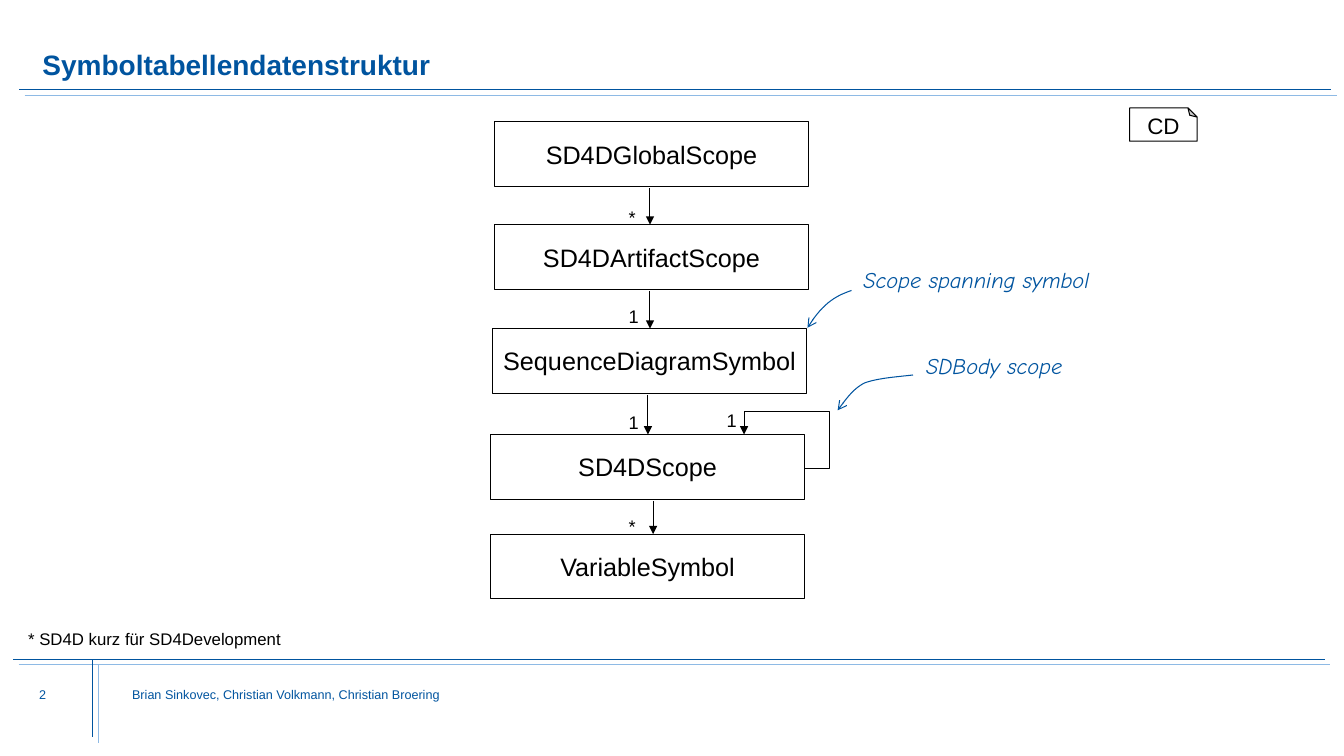
from collections import namedtuple
from itertools import pairwise

from lxml import etree
from pptx import Presentation
from pptx.dml.color import RGBColor
from pptx.enum.shapes import MSO_CONNECTOR, MSO_SHAPE
from pptx.enum.text import MSO_ANCHOR, PP_ALIGN
from pptx.oxml.ns import qn
from pptx.util import Cm, Pt

STRAIGHT, ELBOW = MSO_CONNECTOR.STRAIGHT, MSO_CONNECTOR.ELBOW
RECTANGLE, FOLDED = MSO_SHAPE.RECTANGLE, MSO_SHAPE.FOLDED_CORNER
LEFT, CENTER = PP_ALIGN.LEFT, PP_ALIGN.CENTER
TOP, MIDDLE, BOTTOM = MSO_ANCHOR.TOP, MSO_ANCHOR.MIDDLE, MSO_ANCHOR.BOTTOM

BLUE, LIGHT_BLUE, BLACK, WHITE = "00549F", "8EBAE5", "000000", "FFFFFF"
CLASS_WIDTH, CLASS_HEIGHT = 7.9, 1.63

Box = namedtuple("Box", "left top width height")  # centimetres


def color(hex_code):
    return RGBColor.from_string(hex_code)


def write(shape, text, size, font="Arial", ink=BLACK, bold=False, italic=False,
          align=LEFT, anchor=TOP, inset=(0.25, 0.13), wrap=True, spacing=None):
    frame = shape.text_frame
    frame.word_wrap = wrap
    frame.vertical_anchor = anchor
    frame.margin_left = frame.margin_right = Cm(inset[0])
    frame.margin_top = frame.margin_bottom = Cm(inset[1])
    para = frame.paragraphs[0]
    para.alignment = align
    para.line_spacing = spacing
    span = para.add_run()
    span.text = text
    span.font.name, span.font.size = font, Pt(size)
    span.font.bold, span.font.italic = bold, italic
    span.font.color.rgb = color(ink)


def add_text(page, box, text, size, **style):
    write(page.shapes.add_textbox(*map(Cm, box)), text, size, **style)


def add_outlined(page, kind, box):
    shape = page.shapes.add_shape(kind, *map(Cm, box))
    shape.shadow.inherit = False
    shape.line.color.rgb = color(BLACK)
    shape.line.width = Pt(0.75)
    return shape


def set_guide(shape, name, value):
    """Set a preset geometry guide, in thousandths of a percent."""
    guides = shape._element.spPr.find(qn("a:prstGeom")).get_or_add_avLst()
    etree.SubElement(guides, qn("a:gd"), name=name, fmla=f"val {value}")


def style_line(shape, ink, width, arrow=None):
    shape.line.color.rgb = color(ink)
    shape.line.width = Pt(width)
    if arrow:
        line = shape.line._get_or_add_ln()
        etree.SubElement(line, qn("a:tailEnd"), type=arrow)


def add_line(page, start, end, ink=BLACK, width=0.75, arrow=None, kind=STRAIGHT):
    line = page.shapes.add_connector(kind, *map(Cm, start + end))
    style_line(line, ink, width, arrow)
    etree.SubElement(line._element.spPr, qn("a:effectLst"))
    return line


def add_curve(page, points):
    """Draw a chain of cubic Bézier segments that ends in an open arrow."""
    steps = 16
    trace = []
    for first in range(0, len(points) - 1, 3):
        corners = points[first:first + 4]
        for step in range(1, steps + 1):
            t = step / steps
            weights = ((1 - t) ** 3, 3 * t * (1 - t) ** 2, 3 * t * t * (1 - t), t ** 3)
            trace.append(tuple(Cm(sum(w * value for w, value in zip(weights, axis)))
                               for axis in zip(*corners)))
    builder = page.shapes.build_freeform(*map(Cm, points[0]))
    builder.add_line_segments(trace, close=False)
    curve = builder.convert_to_shape()
    curve.shadow.inherit = False
    curve.fill.background()
    style_line(curve, BLUE, 0.75, "arrow")


def add_double_rule(page, left, top, width, height):
    for shift, ink in ((0, BLUE), (0.14, LIGHT_BLUE)):
        x, y = left + shift, top + shift
        add_line(page, (x, y), (x + width, y + height), ink, 0.5)


def add_header(page, box):
    add_text(page, Box(box.left + 0.59, box.top, 31.9, 1.5), "Symboltabellendatenstruktur",
             20, ink=BLUE, bold=True, anchor=BOTTOM, inset=(0, 0), spacing=0.9)
    add_double_rule(page, box.left, box.top + box.height, box.width, 0)


def add_footer(page, box):
    add_double_rule(page, box.left, box.top, box.width, 0)
    add_double_rule(page, box.left + 2.01, box.top, 0, box.height)
    for x, width, text in ((0.66, 2.03, "2"),
                           (3, 19.46, "Brian Sinkovec, Christian Volkmann, Christian Broering")):
        add_text(page, Box(box.left + x, box.top + 0.69, width, 1.1), text, 9,
                 ink=BLUE, inset=(0, 0))


def add_multiplicity(page, left, top, text):
    add_text(page, Box(left, top, 0.94, 0.81), text, 13)


def add_self_loop(page, scope):
    right, middle = scope.left + scope.width, scope.top + 0.86
    x, y = scope.left + 6.38, scope.top - 0.59
    loop = add_line(page, (right, middle), (x, y), width=0.5, kind=ELBOW)
    set_guide(loop, "adj1", -41400)
    add_line(page, (x, y), (x, scope.top), width=0.5, arrow="triangle")
    add_multiplicity(page, x - 0.69, scope.top - 0.76, "1")


def add_class_chain(page, box):
    classes = (("SD4DGlobalScope", 0.1, 0), ("SD4DArtifactScope", 0.1, 2.59),
               ("SequenceDiagramSymbol", 0.05, 5.21), ("SD4DScope", 0, 7.88),
               ("VariableSymbol", 0, 10.39))
    places = {}
    for name, x, y in classes:
        places[name] = Box(box.left + x, box.top + y, CLASS_WIDTH, CLASS_HEIGHT)
        shape = add_outlined(page, RECTANGLE, places[name])
        shape.fill.background()
        write(shape, name, 18, align=CENTER, anchor=MIDDLE, inset=(0, 0))

    links = zip(pairwise(places.values()), "*11*", (4.01, 4.01, 3.96, 4.09))
    for (upper, lower), count, offset in links:
        x = box.left + offset
        add_line(page, (x, upper.top + upper.height + 0.04), (x, lower.top), arrow="triangle")
        rise = 0.6 if count == "*" else 0.72
        add_multiplicity(page, box.left + 3.22, lower.top - rise, count)
    add_self_loop(page, places["SD4DScope"])


def add_notes(page, box):
    notes = (
        ("Scope spanning symbol", 0.4, 0, 6.5,
         ((0.35, 0.74), (0.02, 0.86), (-0.33, 0.99), (-0.76, 1.68))),
        ("SDBody scope", 1.98, 2.16, 4.27,
         ((1.9, 2.87), (1.47, 2.92), (1.01, 2.95), (0.68, 3.07),
          (0.38, 3.22), (0.2, 3.5), (0, 3.76))),
    )
    for text, x, y, width, points in notes:
        add_text(page, Box(box.left + x, box.top + y, width, 0.94), text, 16,
                 font="Comic Neue", ink=BLUE, italic=True, wrap=False)
        add_curve(page, [(box.left + px, box.top + py) for px, py in points])


def add_diagram_tag(page, box):
    """Place the CD tag; flipping lifts its fold, so its text is turned back."""
    tag = add_outlined(page, FOLDED, box)
    set_guide(tag, "adj", 27600)
    tag.fill.solid()
    tag.fill.fore_color.rgb = color(WHITE)
    write(tag, "CD", 16, align=CENTER, anchor=MIDDLE, wrap=False, spacing=0.7)
    tag._element.spPr.find(qn("a:xfrm")).set("flipV", "1")
    tag._element.txBody.find(qn("a:bodyPr")).set("rot", "10800000")


def main():
    deck = Presentation()
    deck.slide_width, deck.slide_height = Cm(33.87), Cm(19.05)
    page = deck.slides.add_slide(deck.slide_layouts[6])
    add_header(page, Box(0.48, 0.56, 33.07, 1.7))
    add_class_chain(page, Box(12.37, 3.07, 7.9, 12.02))
    add_notes(page, Box(21.11, 6.58, 6.9, 3.76))
    add_diagram_tag(page, Box(28.47, 2.72, 1.7, 0.84))
    add_text(page, Box(0.46, 15.72, 12.22, 0.76), "* SD4D kurz für SD4Development", 12)
    add_footer(page, Box(0.33, 16.61, 33.05, 1.96))
    deck.save("out.pptx")


if __name__ == "__main__":
    main()
